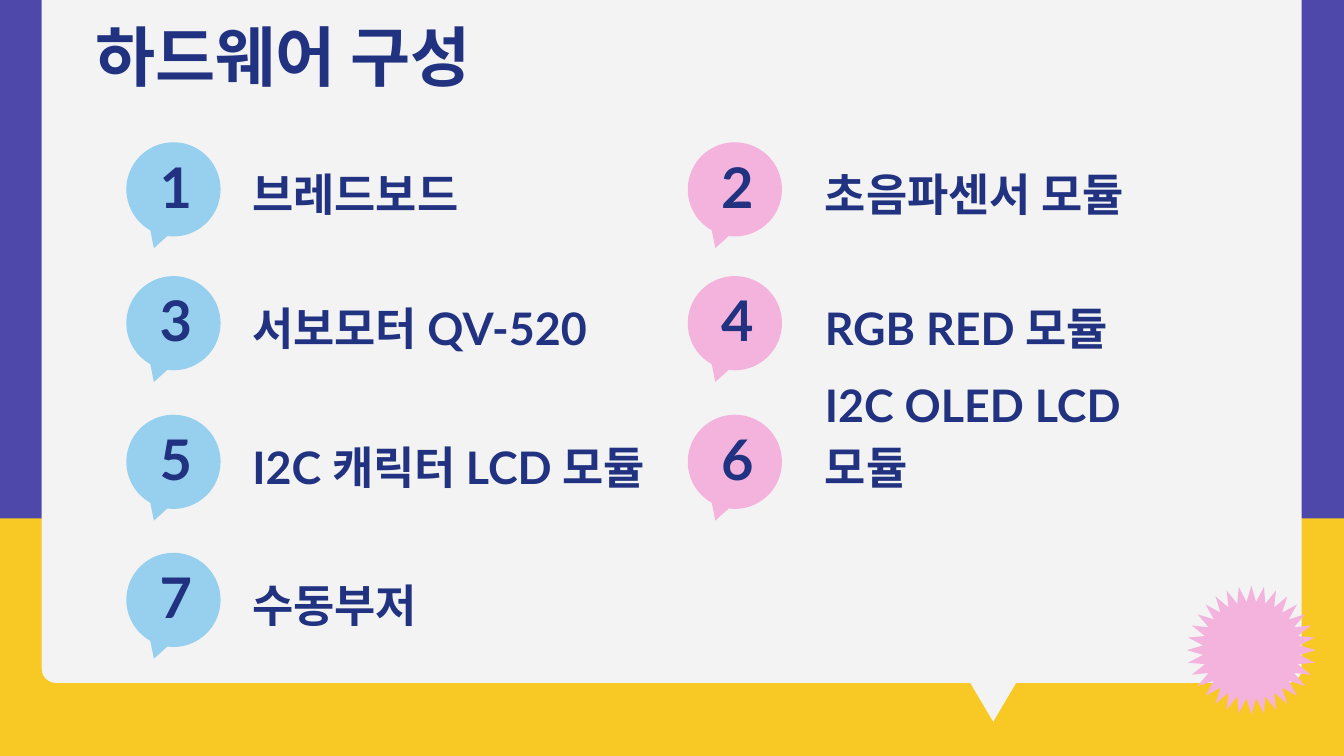
"""Build the hardware overview slide with seven numbered parts."""
from dataclasses import dataclass

from lxml import etree
from pptx import Presentation
from pptx import util as u
from pptx.dml.color import RGBColor
from pptx.enum import shapes, text
from pptx.oxml.ns import qn


@dataclass(frozen=True)
class Theme:
    yellow: str = "F8C924"
    purple: str = "4E48AB"
    panel: str = "F3F3F3"
    blue: str = "97D0EE"
    pink: str = "F4B3DD"
    ink: str = "203280"
    latin: str = "Lato"
    korean: str = "Noto Sans CJK KR"
    title: int = 35
    number: int = 30
    label: int = 24


theme = Theme()


def add_shape(s, kind, box, color, adjustments=()):
    sp = s.shapes.add_shape(kind, *map(u.Cm, box))
    sp.shadow.inherit = False
    sp.fill.solid()
    sp.fill.fore_color.rgb = RGBColor.from_string(color)
    sp.line.fill.background()
    for i, value in enumerate(adjustments):
        sp.adjustments[i] = value
    return sp


def write(sp, words, size, font, anchor, spacing=1.0):
    tf = sp.text_frame
    frame = {"word_wrap": True, "auto_size": text.MSO_AUTO_SIZE.NONE, "vertical_anchor": anchor}
    frame.update({f"margin_{side}": u.Cm(0.25) for side in ("left", "top", "right", "bottom")})
    for name, value in frame.items():
        setattr(tf, name, value)
    p = tf.paragraphs[0]
    p.alignment = text.PP_ALIGN.LEFT
    p.line_spacing = spacing
    r = p.add_run()
    r.text = words
    for name, value in {"name": font, "size": u.Pt(size), "bold": True}.items():
        setattr(r.font, name, value)
    r.font.color.rgb = RGBColor.from_string(theme.ink)
    etree.SubElement(r.font._element, qn("a:ea"), typeface=theme.korean)


prs = Presentation()
prs.slide_width, prs.slide_height = u.Cm(25.4), u.Cm(14.29)
s = prs.slides.add_slide(prs.slide_layouts[5])
s.background.fill.solid()
s.background.fill.fore_color.rgb = RGBColor.from_string(theme.yellow)

kinds = shapes.MSO_SHAPE
add_shape(s, kinds.RECTANGLE, (-0.15, -0.41, 25.73, 10.21), theme.purple)
add_shape(s, kinds.ROUNDED_RECTANGLE, (0.79, -0.41, 23.81, 13.32), theme.panel, [0.02])
pointer = add_shape(s, kinds.ISOSCELES_TRIANGLE, (18.26, 12.78, 1.02, 0.86), theme.panel)
pointer.rotation = 180

title = s.shapes.title
title.element.getparent().append(title.element)
place = {"left": 1.55, "top": 0.05, "width": 21.41, "height": 2.82}
for name, value in place.items():
    setattr(title, name, u.Cm(value))
write(title, "하드웨어 구성", theme.title, theme.korean, text.MSO_ANCHOR.TOP)

add_shape(s, kinds.STAR_32_POINT, (22.43, 11.07, 2.44, 2.44), theme.pink, [0.375])

columns = [(2.39, 4.52, theme.blue), (13.0, 15.34, theme.pink)]
row_tops = [2.69, 5.22, 7.84, 10.45]
parts = [
    ("브레드보드", 7.11),
    ("초음파센서 모듈", 7.11),
    ("서보모터 QV-520", 7.3),
    ("RGB RED 모듈", 7.11),
    ("I2C 캐릭터 LCD 모듈", 8.1),
    ("I2C OLED LCD 모듈", 7.62),
    ("수동부저", 8.1),
]

for i, (part, width) in enumerate(parts):
    row, column = divmod(i, 2)
    top = row_tops[row]
    left, label_left, color = columns[column]
    add_shape(s, kinds.OVAL_CALLOUT, (left, top, 1.78, 1.78), color, [-0.208, 0.625])
    number = s.shapes.add_textbox(*map(u.Cm, (left + 0.38, top + 0.2, 1.63, 1.24)))
    write(number, str(i + 1), theme.number, theme.latin, text.MSO_ANCHOR.MIDDLE)
    label = s.shapes.add_textbox(*map(u.Cm, (label_left, top + 0.38, width, 1.35)))
    write(label, part, theme.label, theme.latin, text.MSO_ANCHOR.BOTTOM, 1.15)

prs.save("out.pptx")
